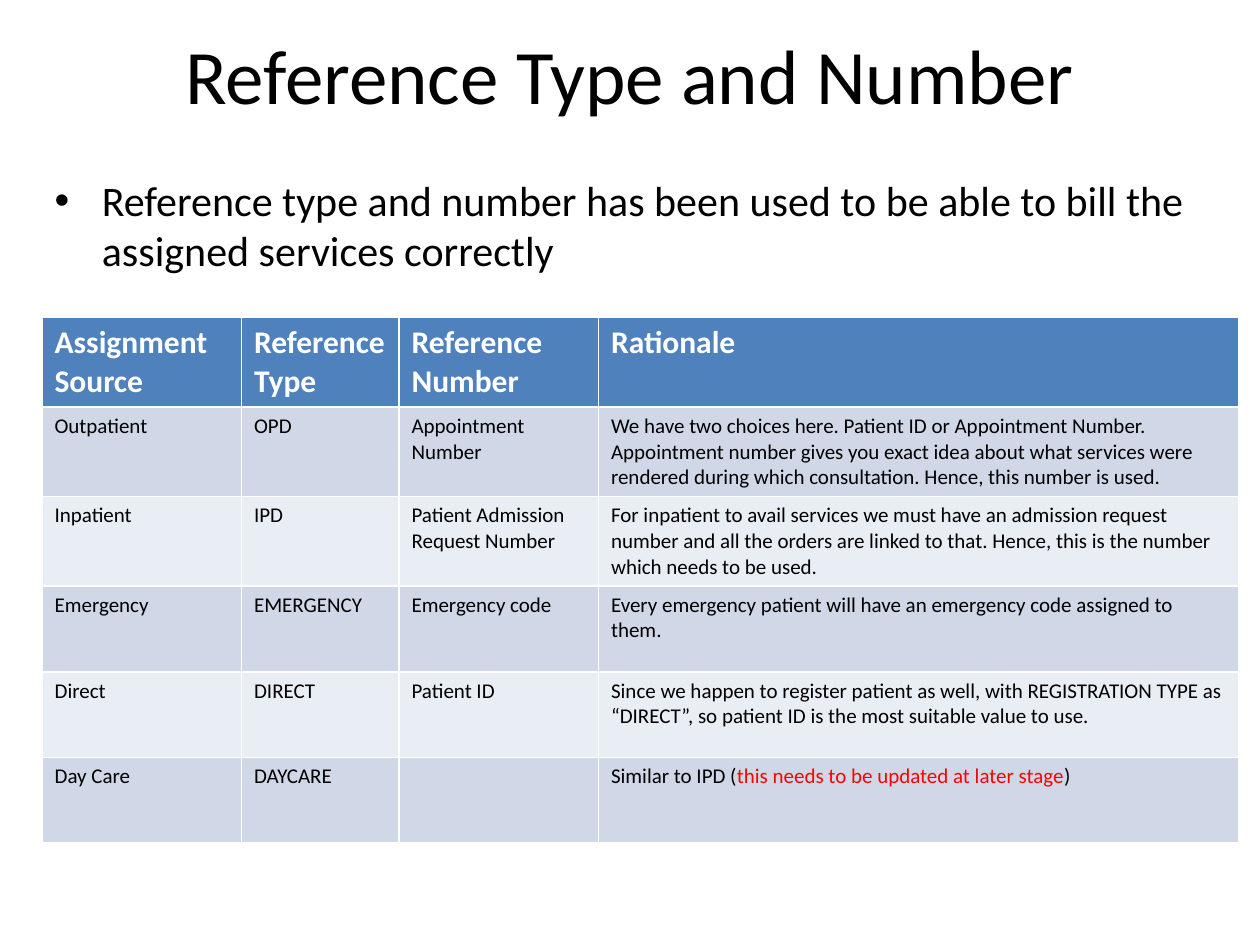
"""Build the slide on reference types and numbers."""
from pptx import Presentation
from pptx.dml.color import RGBColor
from pptx.enum.text import MSO_ANCHOR, MSO_AUTO_SIZE, PP_ALIGN
from pptx.util import Pt

BLACK = RGBColor(0x00, 0x00, 0x00)
WHITE = RGBColor(0xFF, 0xFF, 0xFF)
RED = RGBColor(0xFF, 0x00, 0x00)
BLUE = RGBColor(0x4F, 0x81, 0xBD)
BANDS = [RGBColor(0xE9, 0xED, 0xF4), RGBColor(0xD0, 0xD8, 0xE8)]
FACE = "Calibri"
WIDTHS = [114, 90, 114, 366]
HEIGHT = 49
NOTE = "this needs to be updated at later stage"
ROWS = [
    ["Assignment Source", "Reference Type", "Reference Number", "Rationale"],
    ["Outpatient", "OPD", "Appointment Number",
     "We have two choices here. Patient ID or Appointment Number. "
     "Appointment number gives you exact idea about what services were "
     "rendered during which consultation. Hence, this number is used."],
    ["Inpatient", "IPD", "Patient Admission Request Number",
     "For inpatient to avail services we must have an admission request "
     "number and all the orders are linked to that. Hence, this is the "
     "number which needs to be used."],
    ["Emergency", "EMERGENCY", "Emergency code",
     "Every emergency patient will have an emergency code assigned to them."],
    ["Direct", "DIRECT", "Patient ID",
     "Since we happen to register patient as well, with REGISTRATION TYPE "
     "as “DIRECT”, so patient ID is the most suitable value to use."],
    ["Day Care", "DAYCARE", "", f"Similar to IPD ({NOTE})"],
]


def style(para, size, color, bold=False):
    font = para.font
    font.name, font.size, font.bold = FACE, Pt(size), bold
    font.color.rgb = color


def place(shape, left, top, width, height, text, size):
    shape.left, shape.top = Pt(left), Pt(top)
    shape.width, shape.height = Pt(width), Pt(height)
    frame = shape.text_frame
    frame.text = text
    frame.word_wrap = True
    frame.auto_size = MSO_AUTO_SIZE.NONE
    style(frame.paragraphs[0], size, BLACK)
    return frame


deck = Presentation()
deck.slide_width, deck.slide_height = Pt(720), Pt(540)
slide = deck.slides.add_slide(deck.slide_layouts[1])

title = place(slide.shapes.title, 36, 12, 648, 60,
              "Reference Type and Number", 44)
title.vertical_anchor = MSO_ANCHOR.MIDDLE
title.paragraphs[0].alignment = PP_ALIGN.CENTER

place(slide.placeholders[1], 24, 96, 678, 72,
      "Reference type and number has been used to be able to bill the "
      "assigned services correctly", 24)

table = slide.shapes.add_table(
    len(ROWS), len(WIDTHS), Pt(24), Pt(181.5),
    Pt(sum(WIDTHS)), Pt(HEIGHT * len(ROWS))).table
for column, width in zip(table.columns, WIDTHS):
    column.width = Pt(width)

for r, row in enumerate(ROWS):
    table.rows[r].height = Pt(HEIGHT)
    head = r == 0
    for c, text in enumerate(row):
        cell = table.cell(r, c)
        cell.fill.solid()
        cell.fill.fore_color.rgb = BLUE if head else BANDS[r % 2]
        para = cell.text_frame.paragraphs[0]
        style(para, 18 if head else 12, WHITE if head else BLACK, head)
        before, note, after = text.partition(NOTE)
        for part in filter(None, (before, note, after)):
            run = para.add_run()
            run.text = part
            if part == NOTE:
                run.font.color.rgb = RED

deck.save("out.pptx")
